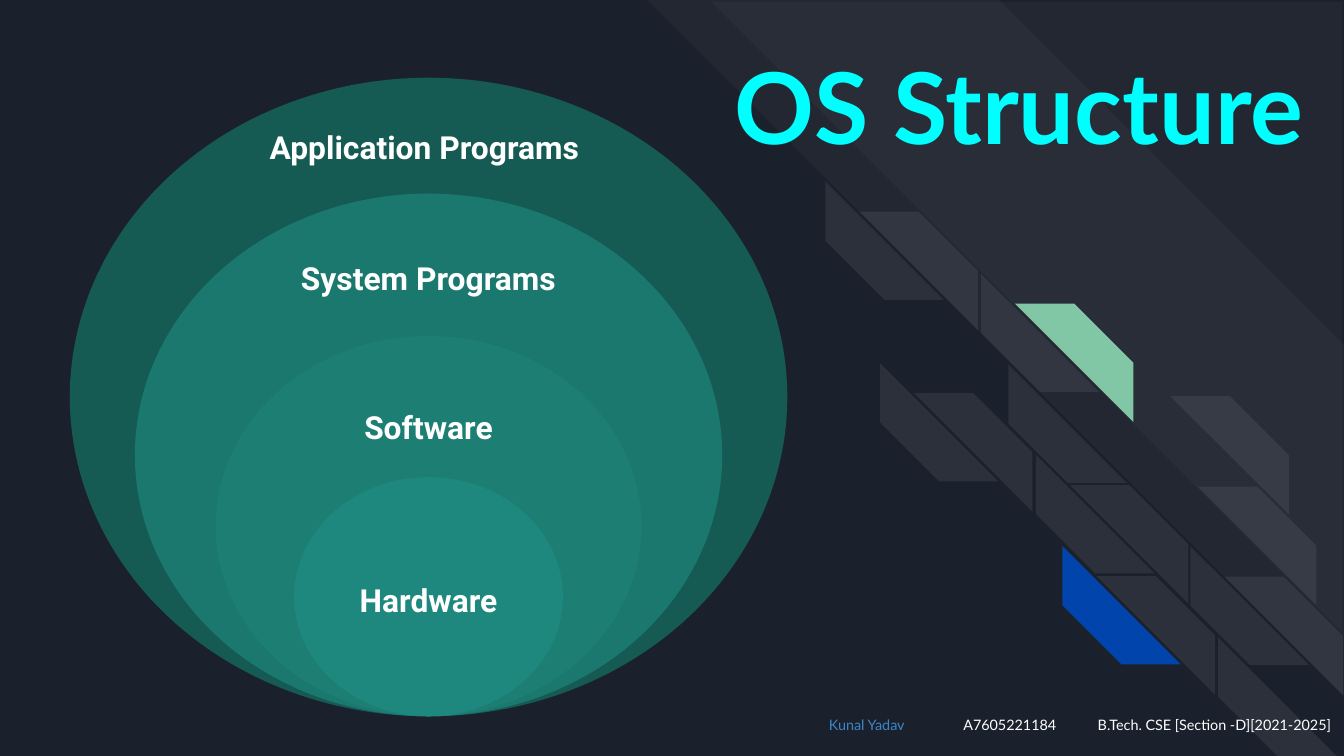
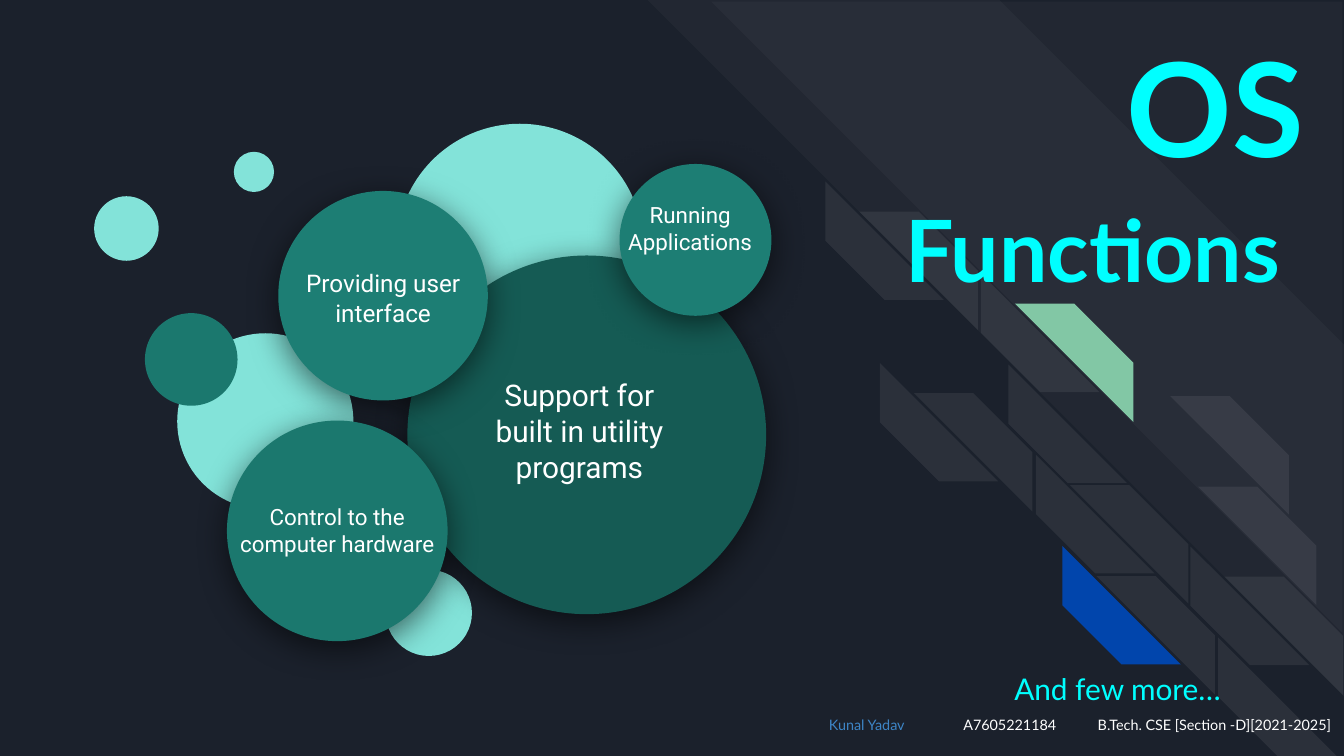
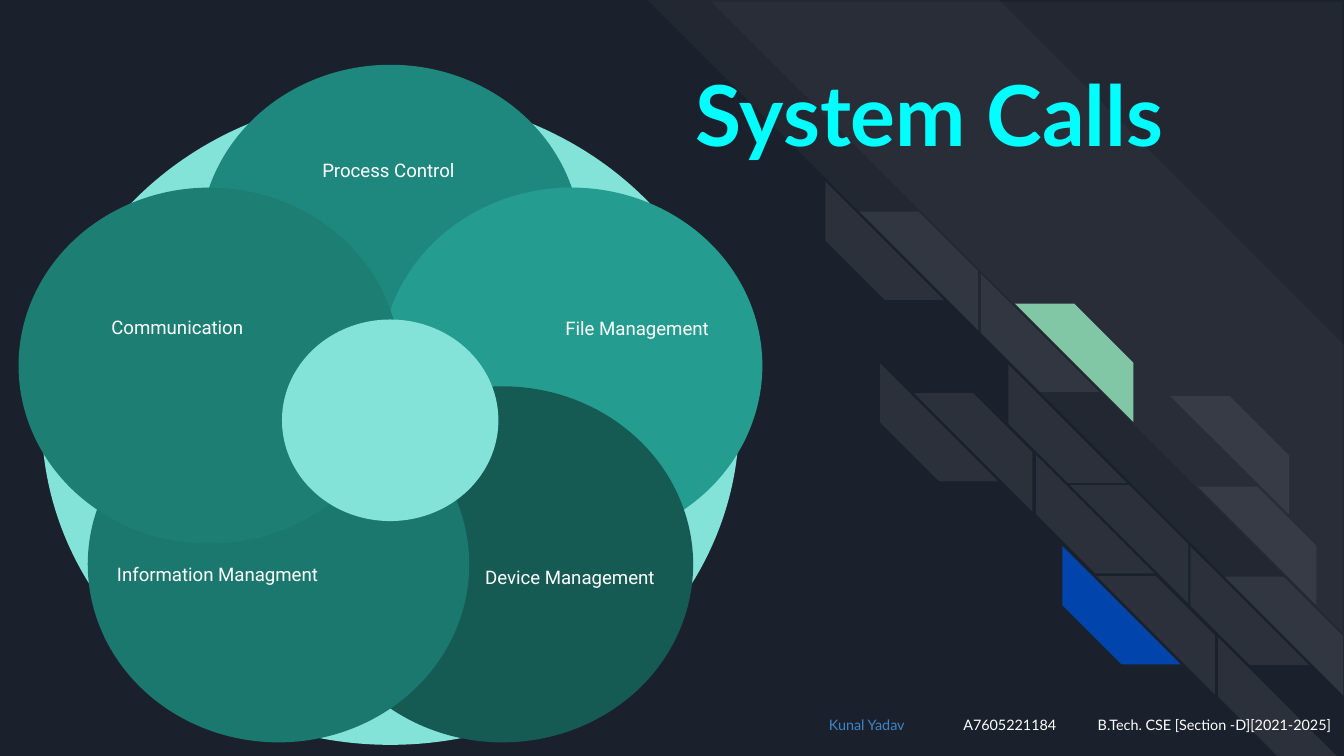
import math

from lxml import etree
from pptx import Presentation
from pptx import util as u
from pptx.dml.color import RGBColor
from pptx.enum import shapes, text
from pptx.oxml.ns import qn

rgb = RGBColor.from_string
OVAL = shapes.MSO_SHAPE.OVAL
STRIPE = shapes.MSO_SHAPE.DIAGONAL_STRIPE
LEFT, CENTER, RIGHT = text.PP_ALIGN.LEFT, text.PP_ALIGN.CENTER, text.PP_ALIGN.RIGHT
TOP, MIDDLE = text.MSO_ANCHOR.TOP, text.MSO_ANCHOR.MIDDLE

NAVY, WHITE, CYAN, LINK = "1B212C", "FFFFFF", "00FFFF", "3D85C6"
GREEN, BLUE = "82C7A5", "0145AC"
PINE, TEAL, SEA, JADE, LAGOON, MINT = "155B54", "1B786E", "1D7E74", "1F887E", "249C90", "83E3D9"


def draw(s, kind, x, y, w, h, color, alpha=None, shadow=False):
    sp = s.shapes.add_shape(kind, u.Cm(x), u.Cm(y), u.Cm(w), u.Cm(h))
    sp.shadow.inherit = False
    sp.line.fill.background()
    sp.fill.solid()
    sp.fill.fore_color.rgb = rgb(color)
    if alpha:
        clr = sp.element.spPr.find(qn("a:solidFill"))[0]
        etree.SubElement(clr, qn("a:alpha"), val=str(alpha * 1000))
    if shadow:
        effects = sp.element.spPr.find(qn("a:effectLst"))
        outer = etree.SubElement(effects, qn("a:outerShdw"), blurRad=str(u.Pt(18)),
                                 dist=str(u.Pt(4)), dir="5400000", algn="t", rotWithShape="0")
        clr = etree.SubElement(outer, qn("a:srgbClr"), val="000000")
        etree.SubElement(clr, qn("a:alpha"), val="55000")
    return sp


def write(s, x, y, w, h, lines, align=CENTER, anchor=MIDDLE, font="Roboto", bold=False):
    tf = s.shapes.add_textbox(u.Cm(x), u.Cm(y), u.Cm(w), u.Cm(h)).text_frame
    tf.word_wrap = True
    tf.vertical_anchor = anchor
    tf.margin_left = tf.margin_right = tf.margin_top = tf.margin_bottom = u.Cm(0.25)
    for i, line in enumerate(lines):
        p = tf.paragraphs[0] if i == 0 else tf.add_paragraph()
        p.alignment = align
        for words, size, color in line:
            r = p.add_run()
            r.text = words
            r.font.name = font
            r.font.size = u.Pt(size)
            r.font.bold = bold
            r.font.color.rgb = rgb(color)
    return tf


prs = Presentation()
prs.slide_width, prs.slide_height = u.Cm(25.4), u.Cm(14.29)
layout = prs.slide_layouts[6]
for ph in list(layout.placeholders):
    layout.shapes.element.remove(ph.element)
layout.background.fill.solid()
layout.background.fill.fore_color.rgb = rgb(NAVY)

structure, functions, calls = [prs.slides.add_slide(layout) for _ in range(3)]

# x, y, size, rotation, adjustment, colour, alpha
stripes = [(12.24, 0, 13.16, 90, 0.495, WHITE, 3), (13.44, 0.03, 11.93, 90, 0, WHITE, 3)]
for x, y, lower, upper in [
    (15.6, 3.43, WHITE, WHITE),
    (16.63, 6.86, WHITE, WHITE),
    (18.54, 5.17, WHITE, GREEN),
    (19.06, 6.89, WHITE, None),
    (21.48, 6.92, None, WHITE),
    (22, 8.63, None, WHITE),
    (19.58, 8.6, WHITE, WHITE),
    (20.08, 10.32, BLUE, WHITE),
    (22.5, 10.33, WHITE, WHITE),
    (23.02, 12.05, WHITE, None),
]:
    for color, dx, dy, turn in [(lower, 0, 0, 270), (upper, 0.64, 0.57, 90)]:
        if color:
            alpha = 7 if color == WHITE else None
            stripes.append((x + dx, y + dy, 2.24, turn, 0.5, color, alpha))

for x, y, size, turn, cut, color, alpha in stripes:
    sp = draw(structure, STRIPE, x, y, size, size, color, alpha)
    sp.rotation = turn
    sp.adjustments[0] = cut
for sp in list(structure.shapes):
    layout.shapes.element.append(sp.element)

middle, bottom = 8.1, 13.54
for label, w, h, color, text_y, text_w, text_h in [
    ("Application Programs ", 13.56, 12.07, PINE, 2.78, 6.63, 2.11),
    ("System Programs", 11.1, 9.88, TEAL, 5.26, 5.44, 1.73),
    ("Software", 8.05, 7.19, SEA, 8.06, 5.08, 1.65),
    ("Hardware", 5.08, 4.52, JADE, 11.33, 4.24, 1.98),
]:
    draw(structure, OVAL, middle - w / 2, bottom - h, w, h, color)
    write(structure, middle - text_w / 2, text_y - text_h / 2, text_w, text_h,
          [[(label, 17, WHITE)]], bold=True)
write(structure, 13.64, 0.61, 11.43, 2.77, [[("OS Structure", 53, CYAN)]],
      LEFT, TOP, "Lato", True)

for x, y, d, color in [
    (7.29, 10.77, 1.63, MINT),
    (1.78, 3.71, 1.22, MINT),
    (3.35, 6.3, 3.33, MINT),
    (7.49, 2.34, 4.67, MINT),
    (2.74, 5.92, 1.75, TEAL),
    (4.42, 2.87, 0.76, MINT),
]:
    draw(functions, OVAL, x, y, d, d, color)
for label, size, x, y, d, color, text_box in [
    ("Support for built in utility programs", 16, 7.7, 4.83, 6.78, PINE, (8.79, 6.53, 4.32, 3.23)),
    ("Providing user interface", 13, 5.26, 3.61, 3.96, SEA, (5.26, 4.32, 3.96, 2.62)),
    ("Control to the computer hardware", 12, 4.29, 7.95, 4.17, TEAL, (4.29, 8.71, 4.17, 2.62)),
    ("Running Applications", 12, 11.71, 3.1, 2.87, SEA, (11.61, 3.35, 2.87, 1.91)),
]:
    draw(functions, OVAL, x, y, d, d, color, shadow=True)
    write(functions, *text_box, [[(label, size, WHITE)]])
write(functions, 16.84, 0.25, 8.05, 5.77,
      [[("OS", 70, CYAN)], [("Functions", 46, CYAN), (" ", 53, CYAN)]],
      RIGHT, TOP, "Lato", True)
write(functions, 18.92, 12.42, 4.62, 1.19, [[("And few more…", 16, CYAN)]], LEFT, TOP, "Lato")

cx, cy = 7.38, 7.95
w, h = 7.21, 6.73
draw(calls, OVAL, cx - 6.59, cy - 6.14, 13.18, 12.27, MINT)
for i, (label, color, text_x, text_y) in enumerate([
    ("Process Control", JADE, 5.13, 2.18),
    ("File Management", LAGOON, 9.83, 5.18),
    ("Device Management", PINE, 8.56, 9.88),
    ("Information Managment", TEAL, 1.9, 9.83),
    ("Communication", SEA, 1.14, 5.16),
]):
    angle = math.radians(72 * i)
    x, y = cx + 3.6 * math.sin(angle), cy - 3.36 * math.cos(angle)
    draw(calls, OVAL, x - w / 2, y - h / 2, w, h, color)
    write(calls, text_x, text_y, 4.42, 2.06, [[(label, 10, WHITE)]])
draw(calls, OVAL, cx - 2.05, cy - 1.91, 4.09, 3.81, MINT)
write(calls, 12.9, 0.94, 11.94, 2.44, [[("System Calls", 45, CYAN)]], LEFT, TOP, "Lato", True)

for s in prs.slides:
    tf = write(s, 13.89, 13.41, 11.51, 0.84,
               [[("Kunal Yadav\t", 7.7, LINK),
                 ("A7605221184\tB.Tech. CSE [Section -D][2021-2025]", 7.7, WHITE)]],
               RIGHT, TOP, "Lato")
    p = tf.paragraphs[0]
    p.line_spacing = 0.95
    p.space_after = u.Pt(12)

prs.save("out.pptx")
